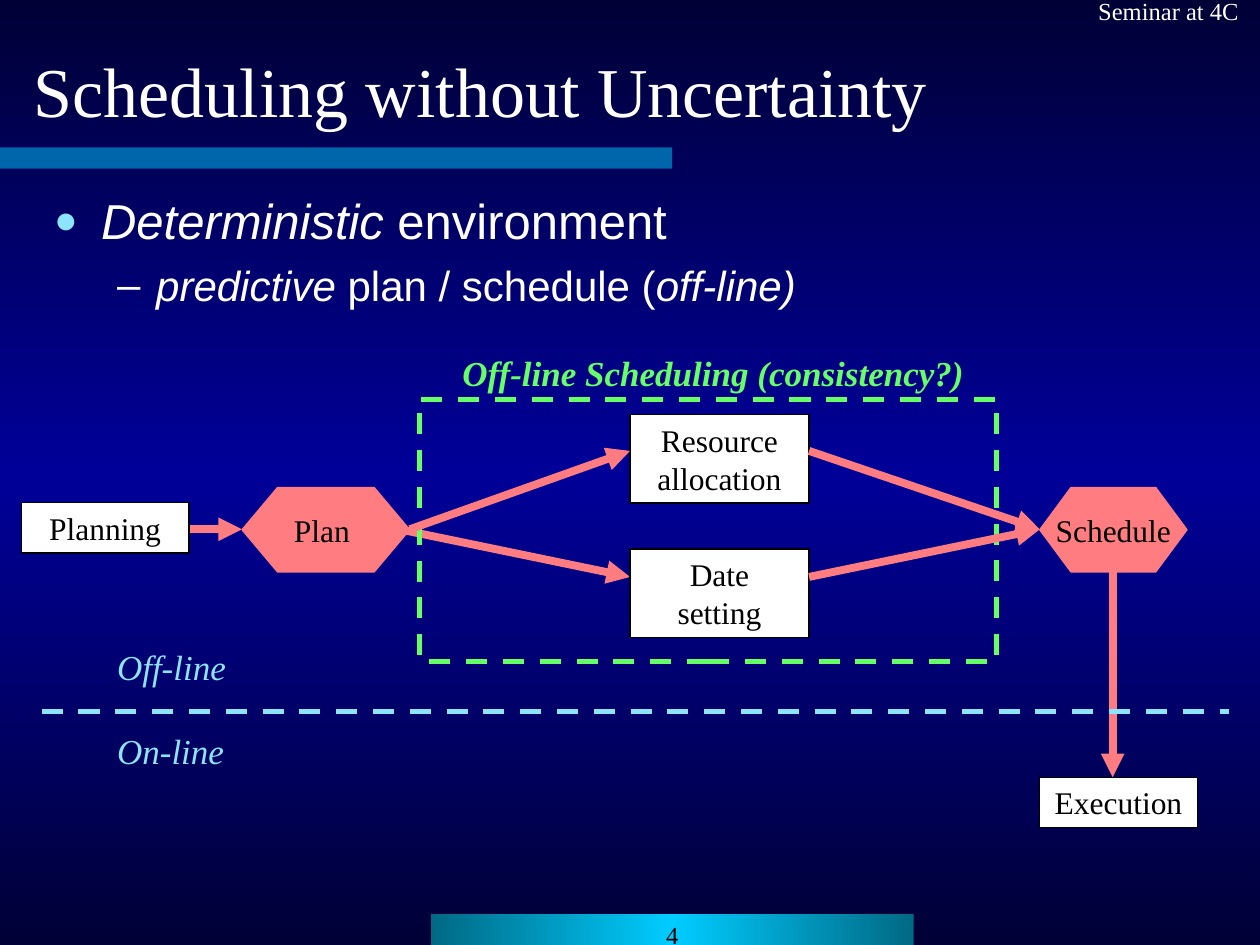
"""Build the slide on scheduling without uncertainty."""
from copy import deepcopy
from dataclasses import dataclass

from lxml.etree import SubElement
from pptx import Presentation
from pptx.dml.color import RGBColor
from pptx.enum.dml import MSO_LINE_DASH_STYLE as Dash
from pptx.enum.shapes import MSO_CONNECTOR as Connector, MSO_SHAPE as Shape
from pptx.enum.text import MSO_ANCHOR as Anchor, MSO_AUTO_SIZE as AutoSize, PP_ALIGN as Align
from pptx.oxml.ns import qn
from pptx.util import Cm, Pt

WHITE, BLACK = "FFFFFF", "000000"
CORAL, GREEN, SKY, CYAN = "FF7C80", "66FF66", "8DE4FF", "00CCFF"
NAVY, BLUE, TEAL = "000037", "000099", "006984"


def rgb(color):
    return RGBColor.from_string(color)


def lengths(*values):
    return [Cm(value) for value in values]


@dataclass
class SlideBuilder:
    slide: object
    serif: str = "Times New Roman"
    sans: str = "Arial"
    box_size: float = 18
    arrow_width: float = 4.5
    dash_width: float = 3

    def gradient(self, fill, element, colors, angle):
        fill.gradient()
        fill.gradient_angle = angle
        stop_list = next(element.iter(qn("a:gsLst")))
        stop_list.insert(1, deepcopy(stop_list[0]))
        for index, (stop, color) in enumerate(zip(fill.gradient_stops, colors)):
            stop.color.rgb = rgb(color)
            stop.position = index / 2

    def background(self, colors):
        self.gradient(self.slide.background.fill, self.slide.element, colors, 90)

    def set_font(self, paragraph, size, color, font=None, bold=False, italic=None):
        paragraph.font.name = font or self.serif
        paragraph.font.size = Pt(size)
        paragraph.font.color.rgb = rgb(color)
        paragraph.font.bold = bold
        paragraph.font.italic = italic

    def set_text(self, shape, text, size, color, align=Align.LEFT, anchor=Anchor.TOP, wrap=True, **style):
        frame = shape.text_frame
        frame.text = text
        frame.word_wrap = wrap
        frame.auto_size = AutoSize.NONE
        frame.vertical_anchor = anchor
        for paragraph in frame.paragraphs:
            paragraph.alignment = align
            self.set_font(paragraph, size, color, **style)

    def title(self, text, *place):
        title = self.slide.shapes.title
        title.left, title.top, title.width, title.height = lengths(*place)
        self.set_text(title, text, 40, WHITE, anchor=Anchor.MIDDLE)

    def label(self, text, size, color, *place, **style):
        box = self.slide.shapes.add_textbox(*lengths(*place))
        self.set_text(box, text, size, color, **style)

    def shape(self, kind, *place, fill=None, line=None, width=0.75):
        shape = self.slide.shapes.add_shape(kind, *lengths(*place))
        shape.shadow.inherit = False
        if fill:
            shape.fill.solid()
            shape.fill.fore_color.rgb = rgb(fill)
        else:
            shape.fill.background()
        if line:
            shape.line.color.rgb = rgb(line)
            shape.line.width = Pt(width)
        else:
            shape.line.fill.background()
        return shape

    def title_bar(self, *place):
        bar = self.shape(Shape.RECTANGLE, *place, fill=CYAN)
        color = next(bar.element.spPr.iter(qn("a:srgbClr")))
        SubElement(color, qn("a:alpha"), val="50000")

    def page_number(self, text, *place):
        footer = self.shape(Shape.RECTANGLE, *place)
        self.gradient(footer.fill, footer.element, (TEAL, CYAN, TEAL), 0)
        self.set_text(footer, text, 14, BLACK, align=Align.CENTER)

    def step(self, text, *place):
        box = self.shape(Shape.RECTANGLE, *place, fill=WHITE, line=BLACK)
        self.set_text(box, text, self.box_size, BLACK, align=Align.CENTER)

    def result(self, text, adjustment, *place):
        hexagon = self.shape(Shape.HEXAGON, *place, fill=CORAL, line=CORAL)
        hexagon.adjustments[0] = adjustment
        self.set_text(hexagon, text, self.box_size, BLACK, align=Align.CENTER, anchor=Anchor.MIDDLE, wrap=False)

    def dashed_frame(self, *place):
        frame = self.shape(Shape.RECTANGLE, *place, line=GREEN, width=self.dash_width)
        frame.line.dash_style = Dash.DASH

    def line(self, color, width, *ends):
        line = self.slide.shapes.add_connector(Connector.STRAIGHT, *lengths(*ends))
        line.line.color.rgb = rgb(color)
        line.line.width = Pt(width)
        SubElement(line.element.spPr, qn("a:effectLst"))
        return line

    def arrow(self, *ends):
        arrow = self.line(CORAL, self.arrow_width, *ends)
        SubElement(arrow.element.spPr.get_or_add_ln(), qn("a:tailEnd"), type="triangle")

    def divider(self, *ends):
        self.line(SKY, self.dash_width, *ends).line.dash_style = Dash.DASH

    def bullets(self, items, *place):
        frame = self.slide.shapes.add_textbox(*lengths(*place)).text_frame
        frame.word_wrap = True
        for index, (runs, size, margin, indent, before, bullet, color, scale) in enumerate(items):
            paragraph = frame.add_paragraph() if index else frame.paragraphs[0]
            paragraph.level = index
            if before:
                paragraph.space_before = Pt(before)
            properties = paragraph._p.get_or_add_pPr()
            properties.set("marL", str(Cm(margin)))
            properties.set("indent", str(Cm(indent)))
            bullet_color = SubElement(properties, qn("a:buClr"))
            SubElement(bullet_color, qn("a:srgbClr"), val=color)
            SubElement(properties, qn("a:buSzPct"), val=str(scale * 1000))
            SubElement(properties, qn("a:buFont"), typeface=self.sans)
            SubElement(properties, qn("a:buChar"), char=bullet)
            self.set_font(paragraph, size, WHITE, font=self.sans)
            for text, italic in runs:
                run = paragraph.add_run()
                run.text = text
                run.font.italic = italic


def main():
    presentation = Presentation()
    presentation.slide_width, presentation.slide_height = lengths(25.4, 19.05)
    builder = SlideBuilder(presentation.slides.add_slide(presentation.slide_layouts[5]))
    builder.background((NAVY, BLUE, NAVY))
    builder.title_bar(0, 2.97, 13.55, 0.43)
    builder.page_number("4", 8.69, 18.42, 9.73, 0.63)
    builder.label("Seminar at 4C", 14, WHITE, 21.89, -0.2, 3.51, 0.84)
    builder.title("Scheduling without Uncertainty", 0.43, 0.64, 24.56, 2.34)
    builder.bullets([
        ([("Deterministic", True), (" environment", False)],
         28, 0.95, -0.95, 0, "●", SKY, 80),
        ([("predictive", True), (" plan / schedule (", False), ("off-line)", True)],
         24, 2.06, -0.79, 6, "–", WHITE, 100),
    ], 0.84, 3.71, 15.88, 4.34)

    middle, upper, lower = 10.67, 9.09, 11.63
    plan_right, steps_left, steps_right, schedule_left = 8.26, 12.7, 16.31, 20.96
    builder.arrow(22.43, 10.19, 22.43, 15.67)
    builder.step("Execution", schedule_left, 15.67, 3.18, 1.02)
    builder.arrow(8.05, middle, steps_left, lower)
    builder.result("Schedule", 0.37, schedule_left, 9.83, 2.97, 1.7)
    for text, top in (("Resource\nallocation", 8.36), ("Date\nsetting", 11.07)):
        builder.step(text, steps_left, top, 3.61, 1.78)
    builder.result("Plan ", 0.42, 4.88, 9.83, 3.38, 1.7)
    builder.arrow(3.81, middle, 4.88, middle)
    builder.step("Planning", 0.43, 10.13, 3.38, 1.02)

    builder.divider(0.84, 14.35, 24.77, 14.35)
    for text, top in (("Off-line", 12.88), ("On-line", 14.58)):
        builder.label(text, 20, SKY, 2.11, top, 2.69, 1.12, wrap=False, italic=True)
    builder.dashed_frame(8.46, 8.05, 11.63, 5.28)
    builder.label("Off-line Scheduling (consistency?)", 20, GREEN,
                  9.07, 6.96, 10.64, 1.12, wrap=False, bold=True, italic=True)
    builder.arrow(plan_right, middle, steps_left, upper)
    for height in (upper, lower):
        builder.arrow(steps_right, height, schedule_left, middle)
    presentation.save("out.pptx")


if __name__ == "__main__":
    main()
